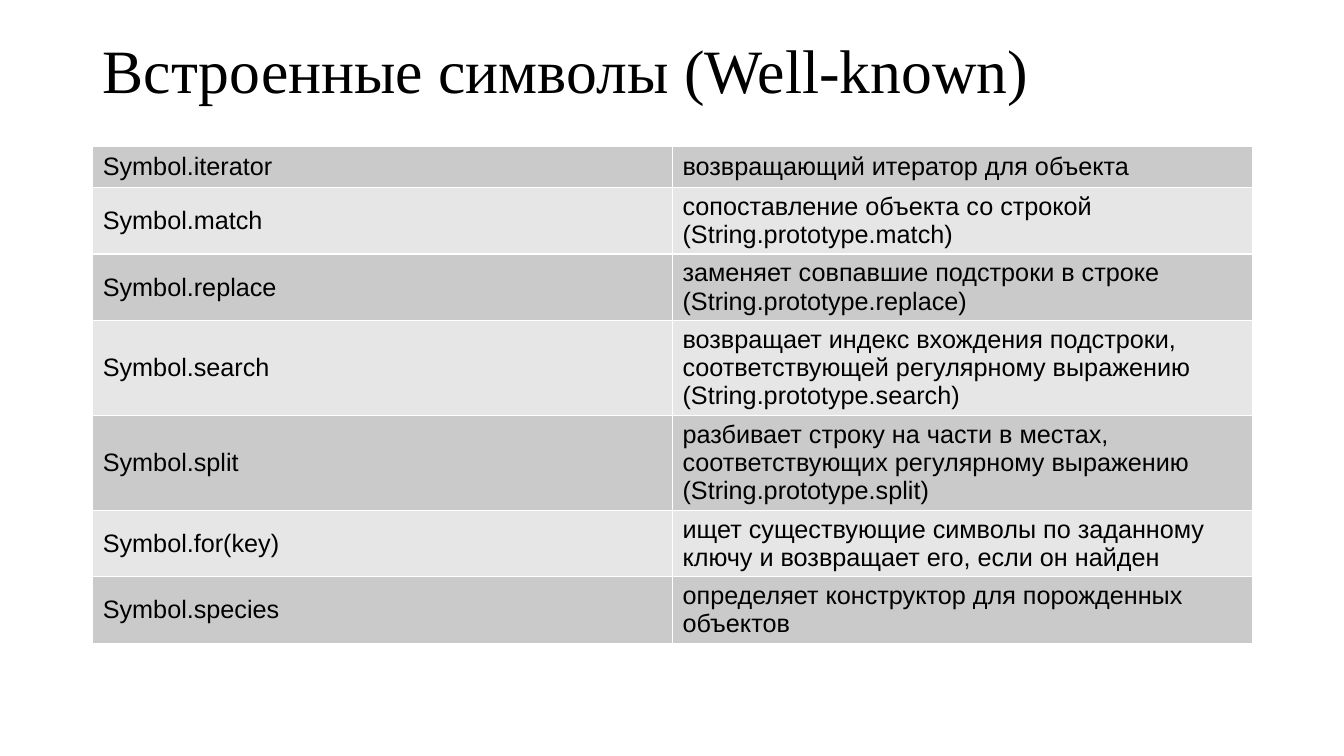
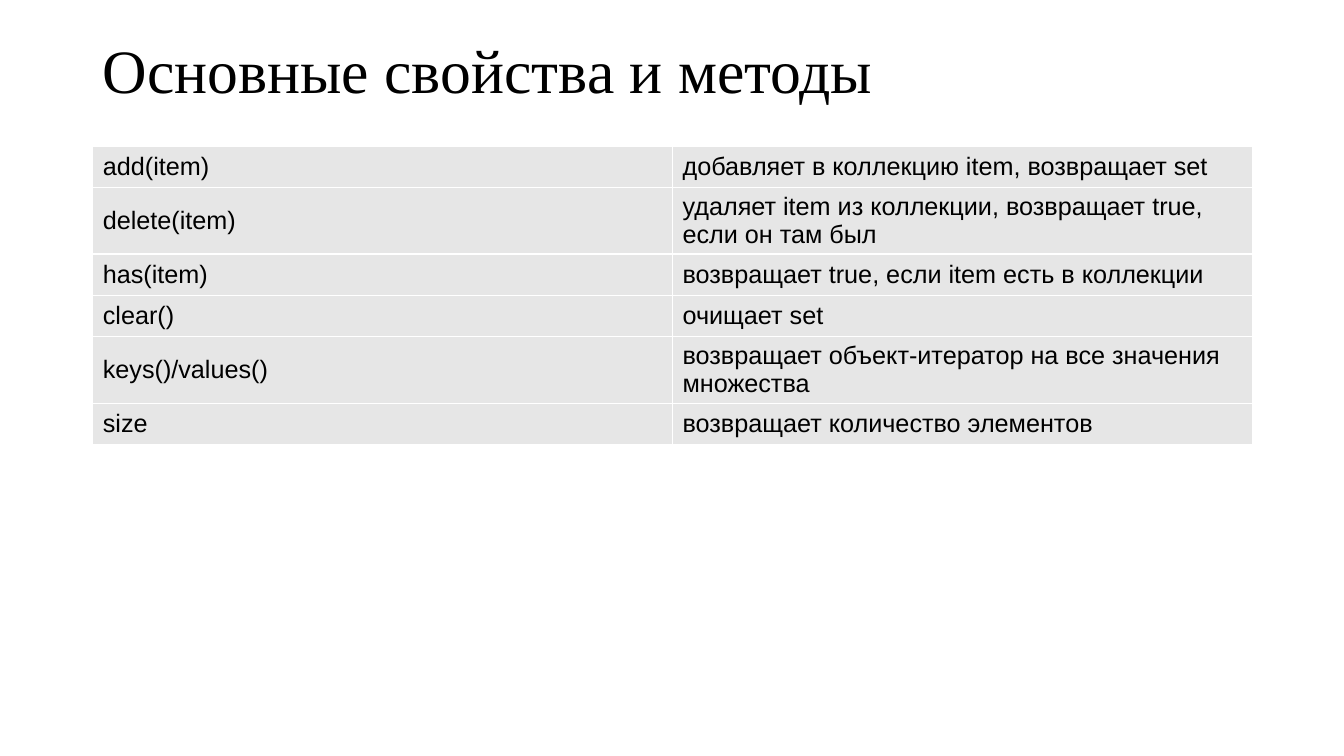
from dataclasses import dataclass

from lxml.etree import SubElement
from pptx import Presentation
from pptx.dml.color import RGBColor
from pptx.enum.text import MSO_ANCHOR, MSO_AUTO_SIZE, PP_ALIGN
from pptx.oxml.ns import qn
from pptx.presentation import Presentation as Deck
from pptx.slide import Slide
from pptx.table import _Cell as Cell
from pptx.text.text import _Paragraph as Paragraph
from pptx.util import Inches, Pt


@dataclass(frozen=True)
class Theme:
    text: RGBColor = RGBColor(0x00, 0x00, 0x00)
    border: str = "FFFFFF"
    dark_band: RGBColor = RGBColor(0xCA, 0xCA, 0xCA)
    light_band: RGBColor = RGBColor(0xE6, 0xE6, 0xE6)
    title_font: str = "Times New Roman"
    body_font: str = "Arial"
    title_size: int = 44
    body_size: int = 18
    border_width: int = 1


@dataclass(frozen=True)
class Entry:
    member: str
    description: str


@dataclass(frozen=True)
class Reference:
    title: str
    entries: tuple[Entry, ...]
    bands: tuple[RGBColor, ...]


THEME = Theme()
TITLE_ONLY_LAYOUT = 5
LEFT = Inches(0.92)
CONTENT_WIDTH = Inches(11.5)
TITLE_HEIGHT = Inches(1.45)
ROW_HEIGHT = Inches(0.41)

REFERENCES = (
    Reference(
        "Встроенные символы (Well-known)",
        (
            Entry("Symbol.iterator", "возвращающий итератор для объекта"),
            Entry("Symbol.match", "сопоставление объекта со строкой (String.prototype.match)"),
            Entry("Symbol.replace", "заменяет совпавшие подстроки в строке (String.prototype.replace)"),
            Entry(
                "Symbol.search",
                "возвращает индекс вхождения подстроки, соответствующей "
                "регулярному выражению (String.prototype.search)",
            ),
            Entry(
                "Symbol.split",
                "разбивает строку на части в местах, соответствующих "
                "регулярному выражению (String.prototype.split)",
            ),
            Entry(
                "Symbol.for(key)",
                "ищет существующие символы по заданному ключу и возвращает его, если он найден",
            ),
            Entry("Symbol.species", "определяет конструктор для порожденных объектов"),
        ),
        (THEME.dark_band, THEME.light_band),
    ),
    Reference(
        "Основные свойства и методы",
        (
            Entry("add(item)", "добавляет в коллекцию item, возвращает set"),
            Entry("delete(item)", "удаляет item из коллекции, возвращает true, если он там был"),
            Entry("has(item)", "возвращает true, если item есть в коллекции"),
            Entry("clear()", "очищает set"),
            Entry("keys()/values()", "возвращает объект-итератор на все значения множества"),
            Entry("size", "возвращает количество элементов"),
        ),
        (THEME.light_band,),
    ),
)


def add_run(paragraph: Paragraph, text: str, font_name: str, size: int) -> None:
    run = paragraph.add_run()
    run.text = text
    run.font.name = font_name
    run.font.size = Pt(size)
    run.font.bold = False
    run.font.color.rgb = THEME.text


def add_title(slide: Slide, text: str) -> None:
    title = slide.shapes.title
    title.left, title.top = LEFT, 0
    title.width, title.height = CONTENT_WIDTH, TITLE_HEIGHT
    frame = title.text_frame
    frame.word_wrap = True
    frame.auto_size = MSO_AUTO_SIZE.NONE
    frame.vertical_anchor = MSO_ANCHOR.MIDDLE
    paragraph = frame.paragraphs[0]
    paragraph.alignment = PP_ALIGN.LEFT
    paragraph.line_spacing = 0.9
    add_run(paragraph, text, THEME.title_font, THEME.title_size)


def add_borders(cell: Cell) -> None:
    """Outline all four sides; must run before the cell gets its fill."""
    properties = cell._tc.get_or_add_tcPr()
    for side in ("lnL", "lnR", "lnT", "lnB"):
        line = SubElement(properties, qn(f"a:{side}"), w=str(Pt(THEME.border_width)))
        fill = SubElement(line, qn("a:solidFill"))
        SubElement(fill, qn("a:srgbClr"), val=THEME.border)


def fill_cell(cell: Cell, text: str, band: RGBColor) -> None:
    add_borders(cell)
    cell.fill.solid()
    cell.fill.fore_color.rgb = band
    cell.vertical_anchor = MSO_ANCHOR.MIDDLE
    add_run(cell.text_frame.paragraphs[0], text, THEME.body_font, THEME.body_size)


def add_entries(slide: Slide, reference: Reference) -> None:
    count = len(reference.entries)
    table = slide.shapes.add_table(
        count, 2, LEFT, TITLE_HEIGHT, CONTENT_WIDTH, ROW_HEIGHT * count
    ).table
    table.first_row = False
    table.horz_banding = False
    for index, entry in enumerate(reference.entries):
        band = reference.bands[index % len(reference.bands)]
        for column, text in enumerate((entry.member, entry.description)):
            fill_cell(table.cell(index, column), text, band)


def add_reference_slide(deck: Deck, reference: Reference) -> None:
    slide = deck.slides.add_slide(deck.slide_layouts[TITLE_ONLY_LAYOUT])
    add_title(slide, reference.title)
    add_entries(slide, reference)


def main() -> None:
    deck = Presentation()
    deck.slide_width = Inches(13.33)
    deck.slide_height = Inches(7.5)
    for reference in REFERENCES:
        add_reference_slide(deck, reference)
    deck.save("out.pptx")


if __name__ == "__main__":
    main()
